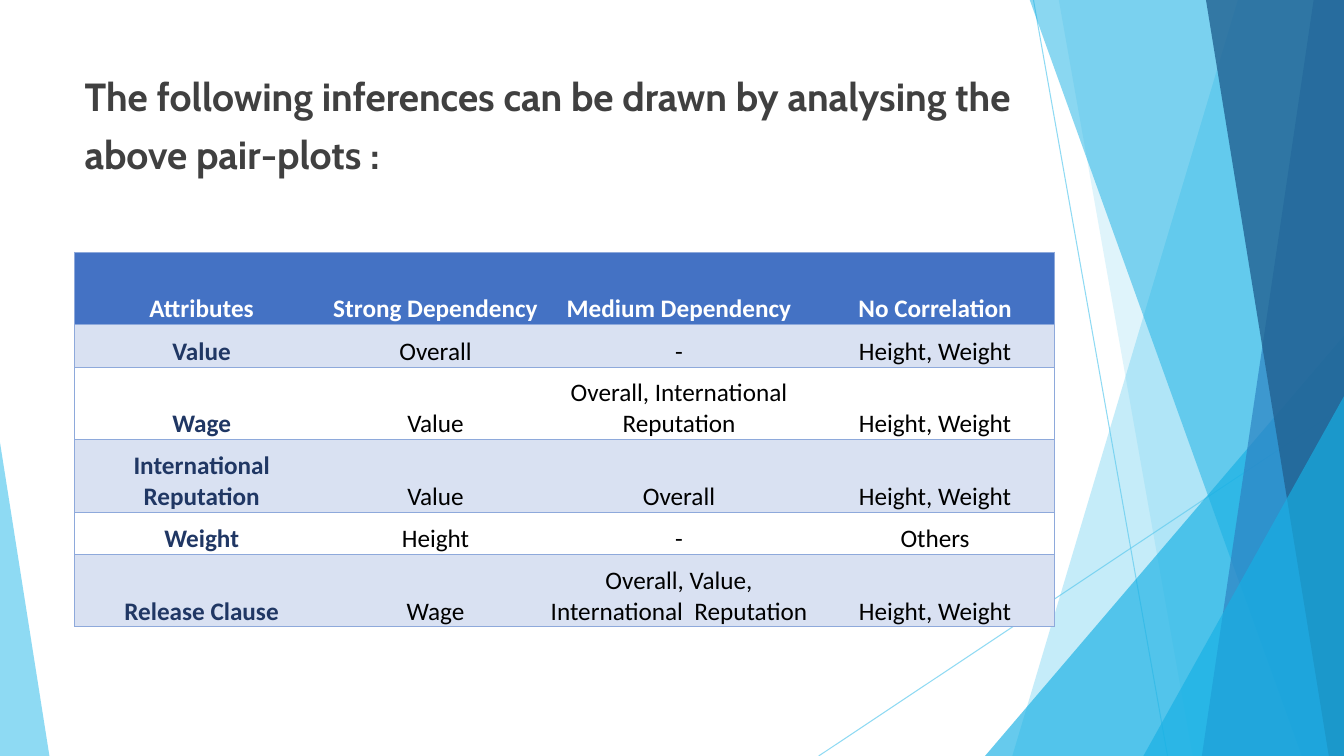
from typing import NamedTuple

from lxml.etree import SubElement
from pptx import Presentation
from pptx.dml.color import RGBColor
from pptx.enum.shapes import MSO_CONNECTOR, MSO_SHAPE
from pptx.enum.text import MSO_ANCHOR, PP_ALIGN
from pptx.oxml.ns import qn
from pptx.util import Inches, Pt

SKY, CYAN, BLUE, NAVY = "5FCBEF", "17B0E4", "2E83C3", "226292"
HEADER_FILL, BAND_FILL, RULE = "4472C4", "D9E1F2", "8EA9DB"
WHITE, BLACK, ATTRIBUTE_TEXT, TITLE_TEXT = "FFFFFF", "000000", "203764", "404040"
PLAIN_TABLE_STYLE = "{2D5ABB26-0587-4C30-8999-92F81FD0307C}"
TOP, RIGHT, BOTTOM = -0.01, 13.33, 7.5


class Ray(NamedTuple):
    """A thin line across the decoration."""
    start: tuple[float, float]
    end: tuple[float, float]


class Facet(NamedTuple):
    """A translucent panel from a slanted left edge to the right slide edge."""
    top_x: float
    bottom_x: float
    colour: str
    opacity: int


class Corner(NamedTuple):
    """A translucent right triangle standing on the bottom slide edge."""
    left: float
    top: float
    width: float
    apex: int
    colour: str
    opacity: int


DECORATION = [
    Ray((10.25, 0), (11.58, BOTTOM)),
    Ray((RIGHT, 4.03), (8.12, BOTTOM)),
    Facet(12.28, 10.04, SKY, 36),
    Facet(10.5, 11.83, SKY, 20),
    Corner(9.77, 3.33, 3.56, 1, CYAN, 66),
    Facet(10.21, 12.91, CYAN, 50),
    Facet(13.03, 11.92, BLUE, 70),
    Facet(11.96, 13.18, NAVY, 80),
    Corner(11.34, 3.93, 1.99, 1, CYAN, 66),
    Corner(0, 4.39, 0.49, 0, SKY, 70),
]
COLUMN_WIDTHS = [2.52, 2.12, 2.71, 2.37]
ROW_HEIGHTS = [0.72, 0.42, 0.72, 0.72, 0.42, 0.72]
DEPENDENCIES = [
    ("Attributes", "Strong Dependency", "Medium Dependency", "No Correlation"),
    ("Value", "Overall", "-", "Height, Weight"),
    ("Wage", "Value", "Overall, International Reputation", "Height, Weight"),
    ("International Reputation", "Value", "Overall", "Height, Weight"),
    ("Weight", "Height", "-", "Others"),
    ("Release Clause", "Wage", "Overall, Value, International  Reputation",
     "Height, Weight"),
]


def rgb(colour: str) -> RGBColor:
    """Turn a hex string into a colour."""
    return RGBColor.from_string(colour)


def set_opacity(fill_owner, opacity: int) -> None:
    """Make the solid colour inside an element translucent."""
    colour = next(fill_owner.iter(qn("a:srgbClr")))
    SubElement(colour, qn("a:alpha"), val=str(opacity * 1000))


def paint(panel, colour: str, opacity: int) -> None:
    """Give a panel a translucent fill with no outline or shadow."""
    panel.shadow.inherit = False
    panel.fill.solid()
    panel.fill.fore_color.rgb = rgb(colour)
    set_opacity(panel._element.spPr, opacity)
    panel.line.fill.background()


def draw_ray(slide, ray: Ray) -> None:
    """Draw a thin translucent line."""
    points = [Inches(value) for value in ray.start + ray.end]
    line = slide.shapes.add_connector(MSO_CONNECTOR.STRAIGHT, *points)
    line.line.color.rgb = rgb(SKY)
    line.line.width = Pt(0.75)
    properties = line._element.spPr
    set_opacity(properties, 70)
    SubElement(properties, qn("a:effectLst"))


def draw_facet(slide, facet: Facet) -> None:
    """Draw a slanted panel."""
    outline = slide.shapes.build_freeform(
        Inches(facet.top_x), Inches(TOP), scale=1.0)
    corners = [(RIGHT, TOP), (RIGHT, BOTTOM), (facet.bottom_x, BOTTOM)]
    outline.add_line_segments([(Inches(x), Inches(y)) for x, y in corners])
    paint(outline.convert_to_shape(), facet.colour, facet.opacity)


def draw_corner(slide, corner: Corner) -> None:
    """Draw a triangle whose apex is above its left (0) or right (1) end."""
    triangle = slide.shapes.add_shape(
        MSO_SHAPE.ISOSCELES_TRIANGLE, Inches(corner.left), Inches(corner.top),
        Inches(corner.width), Inches(BOTTOM - corner.top))
    triangle.adjustments[0] = corner.apex
    paint(triangle, corner.colour, corner.opacity)


def draw_title(slide) -> None:
    """Write the heading; its larger closing space opens up the second line."""
    box = slide.shapes.add_textbox(
        Inches(0.74), Inches(0.67), Inches(9.4), Inches(1.44))
    box.text_frame.word_wrap = True
    heading = box.text_frame.paragraphs[0]
    heading.font.name = "Cabin"
    heading.font.bold = True
    heading.font.color.rgb = rgb(TITLE_TEXT)
    wording = ("The following inferences can be drawn by analysing the "
               "above pair-plots :")
    for text, size in ((wording, 28), (" ", 36)):
        run = heading.add_run()
        run.text = text
        run.font.size = Pt(size)


def add_borders(cell, sides: str) -> None:
    """Rule the given sides of a cell, named in the order L, R, T, B."""
    properties = cell._tc.get_or_add_tcPr()
    for side in sides:
        border = SubElement(properties, qn(f"a:ln{side}"), w=str(Pt(0.5)))
        fill = SubElement(border, qn("a:solidFill"))
        SubElement(fill, qn("a:srgbClr"), val=RULE)


def fill_cell(cell, text: str, row: int, column: int) -> None:
    """Write and style one table cell by its place."""
    edges = {0: "L", len(COLUMN_WIDTHS) - 1: "R"}
    add_borders(cell, edges.get(column, "") + "TB")
    if row % 2 or row == 0 or row in (3, 5):
        cell.fill.solid()
        cell.fill.fore_color.rgb = rgb(BAND_FILL if row else HEADER_FILL)
    else:
        cell.fill.background()
    cell.vertical_anchor = MSO_ANCHOR.BOTTOM
    cell.margin_left = cell.margin_right = cell.margin_top = Inches(0.01)
    cell.margin_bottom = 0
    cell.text = text
    entry = cell.text_frame.paragraphs[0]
    entry.alignment = PP_ALIGN.CENTER
    entry.font.name = "Calibri"
    entry.font.size = Pt(18)
    entry.font.bold = row == 0 or column == 0
    body_colour = BLACK if column else ATTRIBUTE_TEXT
    entry.font.color.rgb = rgb(body_colour if row else WHITE)


def draw_dependencies(slide) -> None:
    """Draw the table of attribute dependencies."""
    table = slide.shapes.add_table(
        len(ROW_HEIGHTS), len(COLUMN_WIDTHS), Inches(0.74), Inches(2.5),
        Inches(sum(COLUMN_WIDTHS)), Inches(sum(ROW_HEIGHTS))).table
    table.first_row = table.horz_banding = False
    next(table._tbl.iter(qn("a:tableStyleId"))).text = PLAIN_TABLE_STYLE
    for column, width in zip(table.columns, COLUMN_WIDTHS):
        column.width = Inches(width)
    for row, (height, texts) in enumerate(zip(ROW_HEIGHTS, DEPENDENCIES)):
        table.rows[row].height = Inches(height)
        for column, text in enumerate(texts):
            fill_cell(table.cell(row, column), text, row, column)


def main() -> None:
    """Build and save the slide."""
    deck = Presentation()
    deck.slide_width, deck.slide_height = Inches(RIGHT), Inches(BOTTOM)
    slide = deck.slides.add_slide(deck.slide_layouts[6])
    painters = {Ray: draw_ray, Facet: draw_facet, Corner: draw_corner}
    for part in DECORATION:
        painters[type(part)](slide, part)
    draw_title(slide)
    draw_dependencies(slide)
    deck.save("out.pptx")


main()
